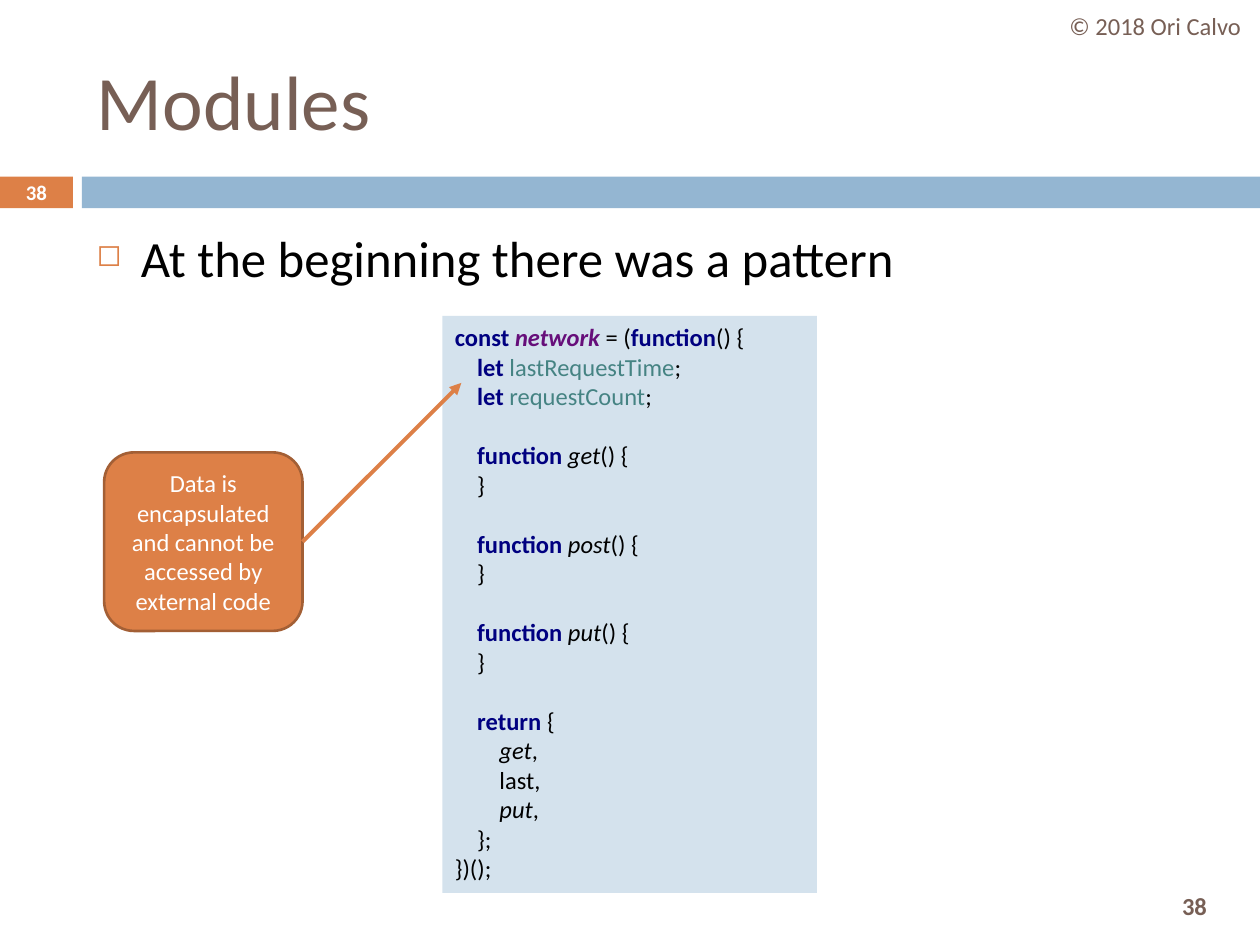
from lxml import etree
from pptx import Presentation
from pptx.dml.color import RGBColor
from pptx.enum import shapes, text
from pptx.oxml import ns
from pptx.util import Cm, Pt

FONT = "Calibri"
BROWN, ORANGE, BLUE = "775F55", "DD8047", "94B6D2"
PAGE_NUMBER = "38"
CODE_SIZE = 14
CODE_INDENT = 0.45  # cm per nesting level
BLANK_LINE = 17  # points

# Token styles: colour, bold, italic
STYLES = {
    "keyword": ("000080", True, False),
    "global": ("660E7A", True, True),
    "variable": ("458383", False, False),
    "name": ("000000", False, True),
    "plain": ("000000", False, False),
}


def function_lines(name):
    """An empty nested function, set off by a gap above."""
    return [
        (1, True, [("function ", "keyword"), (name, "name"), ("() {", "plain")]),
        (1, False, [("}", "plain")]),
    ]


def variable_line(name):
    return (1, False, [("let ", "keyword"), (name, "variable"), (";", "plain")])


# Each line: nesting level, gap above, tokens
CODE = [
    (0, False, [("const ", "keyword"), ("network ", "global"), ("= (", "plain"),
                ("function", "keyword"), ("() {", "plain")]),
    variable_line("lastRequestTime"),
    variable_line("requestCount"),
    *function_lines("get"),
    *function_lines("post"),
    *function_lines("put"),
    (1, True, [("return ", "keyword"), ("{", "plain")]),
    (2, False, [("get", "name"), (",", "plain")]),
    (2, False, [("last,", "plain")]),
    (2, False, [("put", "name"), (",", "plain")]),
    (1, False, [("};", "plain")]),
    (0, False, [("})();", "plain")]),
]


def color(hex_string):
    return RGBColor.from_string(hex_string)


def add_run(paragraph, words, size, hex_color, bold=False, italic=False):
    run = paragraph.add_run()
    run.text = words
    font = run.font
    font.name, font.size, font.bold, font.italic = FONT, Pt(size), bold, italic
    font.color.rgb = color(hex_color)


def add_block(slide, box, fill, kind=shapes.MSO_SHAPE.RECTANGLE):
    shape = slide.shapes.add_shape(kind, *map(Cm, box))
    shape.shadow.inherit = False
    shape.fill.solid()
    shape.fill.fore_color.rgb = color(fill)
    shape.line.fill.background()
    return shape


def add_label(slide, box, words, size, hex_color, bold=False):
    """One centred line of text."""
    shape = slide.shapes.add_textbox(*map(Cm, box))
    frame = shape.text_frame
    frame.word_wrap = True
    frame.margin_left = frame.margin_right = 0
    frame.vertical_anchor = text.MSO_ANCHOR.MIDDLE
    paragraph = frame.paragraphs[0]
    paragraph.alignment = text.PP_ALIGN.CENTER
    add_run(paragraph, words, size, hex_color, bold)


def add_band(slide, box):
    """Page number tab and the long bar beside it."""
    left, top, width, height = box
    tab, gap = 1.47, 0.18
    add_block(slide, (left, top, tab, height), ORANGE)
    add_block(slide, (left + tab + gap, top, width - tab - gap, height), BLUE)
    add_label(slide, (left, top, tab, height), PAGE_NUMBER, 11.9, "FFFFFF", True)


def set_title(slide, box, words):
    title = slide.shapes.title
    title.left, title.top, title.width, title.height = map(Cm, box)
    title.text_frame.vertical_anchor = text.MSO_ANCHOR.MIDDLE
    paragraph = title.text_frame.paragraphs[0]
    paragraph.alignment = text.PP_ALIGN.LEFT
    add_run(paragraph, words, 44, BROWN)


def add_bullet(slide, box, words):
    frame = slide.shapes.add_textbox(*map(Cm, box)).text_frame
    frame.word_wrap = True
    paragraph = frame.paragraphs[0]
    paragraph.space_before = Pt(7)
    properties = paragraph._p.get_or_add_pPr()
    properties.set("marL", str(Cm(0.89)))
    properties.set("indent", str(Cm(-0.89)))
    bullet_color = etree.SubElement(properties, ns.qn("a:buClr"))
    etree.SubElement(bullet_color, ns.qn("a:srgbClr"), val=ORANGE)
    etree.SubElement(properties, ns.qn("a:buSzPct"), val="60000")
    etree.SubElement(properties, ns.qn("a:buChar"), char="◻")
    add_run(paragraph, words, 29, "000000")


def add_code(slide, box, lines):
    frame = add_block(slide, box, "D4E2ED").text_frame
    frame.word_wrap = True
    frame.vertical_anchor = text.MSO_ANCHOR.TOP
    for number, (level, gap, tokens) in enumerate(lines):
        paragraph = frame.add_paragraph() if number else frame.paragraphs[0]
        paragraph.alignment = text.PP_ALIGN.LEFT
        paragraph.space_before = Pt(BLANK_LINE if gap else 0)
        paragraph._p.get_or_add_pPr().set("marL", str(Cm(level * CODE_INDENT)))
        for words, style in tokens:
            add_run(paragraph, words, CODE_SIZE, *STYLES[style])


def add_callout(slide, box, words, target):
    """Rounded note with an arrow from its right side to the target point."""
    note = add_block(slide, box, ORANGE, shapes.MSO_SHAPE.ROUNDED_RECTANGLE)
    note.line.color.rgb = color("A35F35")
    note.line.width = Pt(1.5)
    frame = note.text_frame
    frame.word_wrap = True
    frame.vertical_anchor = text.MSO_ANCHOR.MIDDLE
    paragraph = frame.paragraphs[0]
    paragraph.alignment = text.PP_ALIGN.CENTER
    add_run(paragraph, words, 14, "FFFFFF")

    left, top, width, height = box
    start = (left + width, top + height / 2)
    arrow = slide.shapes.add_connector(
        shapes.MSO_CONNECTOR.STRAIGHT, *map(Cm, start + target))
    arrow.begin_connect(note, 3)
    arrow.line.color.rgb = color(ORANGE)
    arrow.line.width = Pt(2.25)
    etree.SubElement(arrow.line._get_or_add_ln(), ns.qn("a:tailEnd"), type="triangle")
    etree.SubElement(arrow._element.spPr, ns.qn("a:effectLst"))


def main():
    presentation = Presentation()
    presentation.slide_width, presentation.slide_height = Cm(25.4), Cm(19.05)
    slide = presentation.slides.add_slide(presentation.slide_layouts[5])

    add_band(slide, (0, 3.56, 25.4, 0.64))
    add_label(slide, (22.91, 17.73, 2.34, 1.07), PAGE_NUMBER, 14, BROWN, True)
    set_title(slide, (1.7, 0.64, 22.66, 2.74), "Modules")
    add_label(slide, (21.18, 0, 4.22, 1.02), "© 2018 Ori Calvo", 14, BROWN)
    add_bullet(slide, (1.7, 4.45, 22.66, 12.5), "At the beginning there was a pattern")
    add_code(slide, (8.92, 6.37, 7.55, 11.63), CODE)
    add_callout(slide, (2.1, 9.12, 4, 3.6),
                "Data is encapsulated and cannot be accessed by external code",
                (9.3, 7.72))

    presentation.save("out.pptx")


if __name__ == "__main__":
    main()
